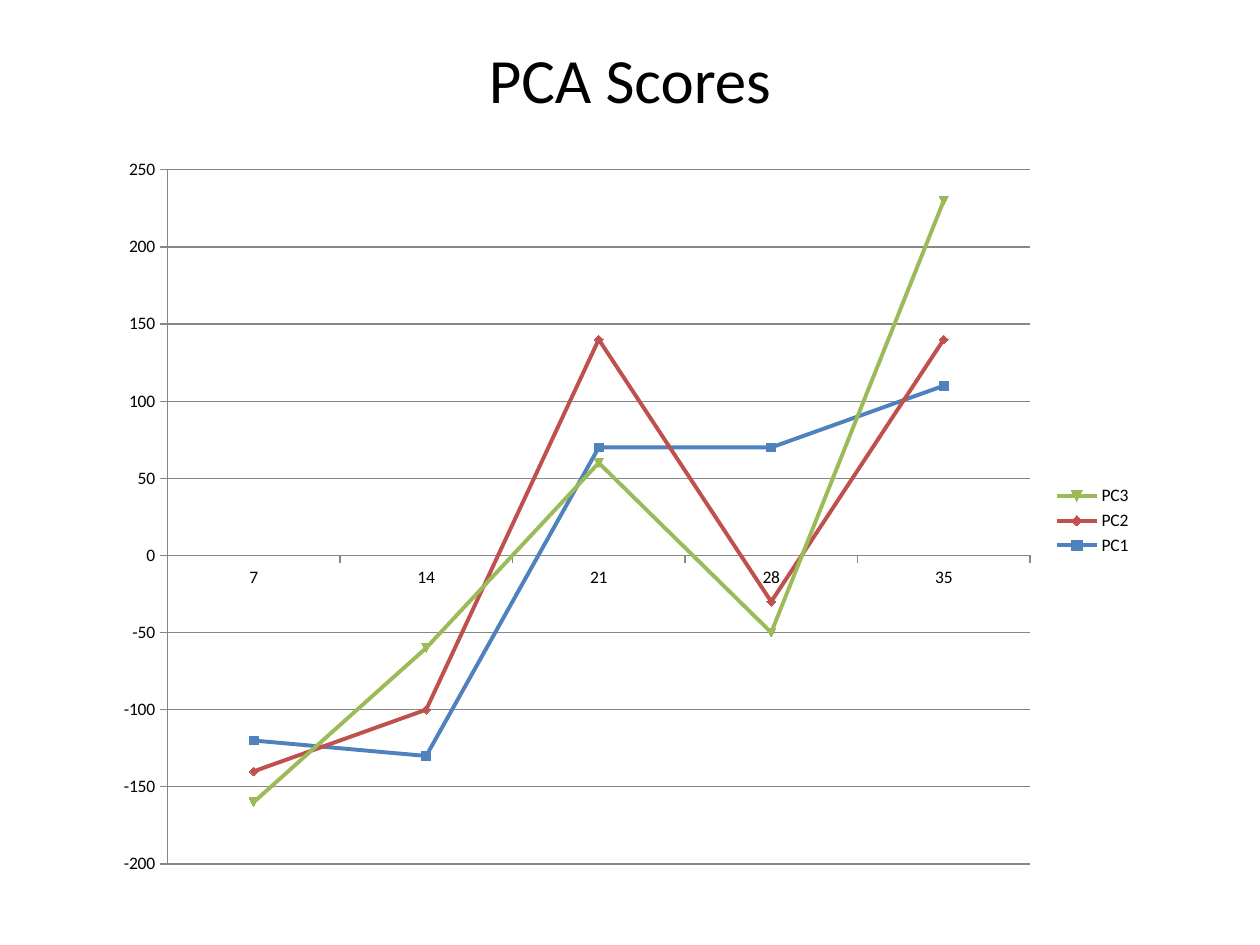
"""Builds a slide with a stacked line chart of PCA scores by day."""
from dataclasses import dataclass

from lxml import etree
from pptx import Presentation
from pptx import util as u
from pptx.chart.data import CategoryChartData
from pptx.dml.color import RGBColor
from pptx.enum import chart as kinds, text
from pptx.oxml.ns import qn

WIDTH, HEIGHT = 10, 7.5


@dataclass(frozen=True)
class Theme:
    font: str = "Calibri"
    ink: str = "000000"
    rule: str = "868686"
    title_size: float = 36
    label_size: float = 10
    rule_width: float = 0.75
    series_width: float = 2.25


@dataclass(frozen=True)
class Area:
    left: float
    top: float
    width: float
    height: float

    def on_slide(self) -> tuple:
        return (u.Inches(self.left * WIDTH), u.Inches(self.top * HEIGHT),
                u.Inches(self.width * WIDTH), u.Inches(self.height * HEIGHT))


@dataclass(frozen=True)
class Component:
    name: str
    scores: tuple
    color: str


THEME = Theme()
TITLE_AREA = Area(0.05, 1 / 30, 0.9, 0.1)
CHART_AREA = Area(1 / 12, 0.156, 0.825, 0.79)
PLOT_AREA = Area(0.06, 0.03, 0.83, 0.93)
DAYS = [str(day) for day in range(7, 36, 7)]
COMPONENTS = (
    Component("PC1", (-120, -130, 70, 70, 110), "4F81BD"),
    Component("PC2", (-20, 30, 70, -100, 30), "C0504D"),
    Component("PC3", (-20, 40, -80, -20, 90), "9BBB59"),
)


def style_font(font, size: float) -> None:
    font.name = THEME.font
    font.size = u.Pt(size)
    font.color.rgb = RGBColor.from_string(THEME.ink)


def style_line(line, color: str, width: float) -> None:
    line.color.rgb = RGBColor.from_string(color)
    line.width = u.Pt(width)


def add_title(page, words: str) -> None:
    box = page.shapes.add_textbox(*TITLE_AREA.on_slide())
    frame = box.text_frame
    frame.word_wrap = True
    frame.vertical_anchor = text.MSO_ANCHOR.MIDDLE
    para = frame.paragraphs[0]
    para.alignment = text.PP_ALIGN.CENTER
    span = para.add_run()
    span.text = words
    style_font(span.font, THEME.title_size)


def place_plot(chart, area: Area) -> None:
    plot_area = chart.plots[0]._element.getparent()
    for old in plot_area.findall(qn("c:layout")):
        plot_area.remove(old)
    layout = etree.Element(qn("c:layout"))
    manual = etree.SubElement(layout, qn("c:manualLayout"))
    settings = (("layoutTarget", "inner"), ("xMode", "edge"), ("yMode", "edge"),
                ("x", area.left), ("y", area.top), ("w", area.width), ("h", area.height))
    for tag, value in settings:
        etree.SubElement(manual, qn(f"c:{tag}")).set("val", str(value))
    plot_area.insert(0, layout)


def style_axes(chart) -> None:
    for axis in (chart.category_axis, chart.value_axis):
        axis.major_tick_mark = kinds.XL_TICK_MARK.OUTSIDE
        axis.minor_tick_mark = kinds.XL_TICK_MARK.NONE
        style_line(axis.format.line, THEME.rule, THEME.rule_width)
        style_font(axis.tick_labels.font, THEME.label_size)
    values = chart.value_axis
    values.minimum_scale, values.maximum_scale, values.major_unit = -200, 250, 50
    values.has_major_gridlines = True
    style_line(values.major_gridlines.format.line, THEME.rule, THEME.rule_width)


def add_scores_chart(page) -> None:
    data = CategoryChartData(number_format="General")
    data.categories = DAYS
    for component in COMPONENTS:
        data.add_series(component.name, component.scores)
    chart = page.shapes.add_chart(
        kinds.XL_CHART_TYPE.LINE_MARKERS_STACKED, *CHART_AREA.on_slide(), data).chart
    style_font(chart.font, THEME.label_size)
    chart.has_title = False
    chart.has_legend = True
    chart.legend.position = kinds.XL_LEGEND_POSITION.RIGHT
    chart.legend.include_in_layout = False
    style_font(chart.legend.font, THEME.label_size)
    style_axes(chart)
    place_plot(chart, PLOT_AREA)
    plot = chart.plots[0]
    plot.vary_by_categories = False
    for series, component in zip(plot.series, COMPONENTS):
        series.smooth = False
        style_line(series.format.line, component.color, THEME.series_width)
        fill = series.marker.format.fill
        fill.solid()
        fill.fore_color.rgb = RGBColor.from_string(component.color)


def main() -> None:
    deck = Presentation()
    deck.slide_width, deck.slide_height = u.Inches(WIDTH), u.Inches(HEIGHT)
    page = deck.slides.add_slide(deck.slide_layouts[6])
    add_scores_chart(page)
    add_title(page, "PCA Scores")
    deck.save("out.pptx")


if __name__ == "__main__":
    main()
